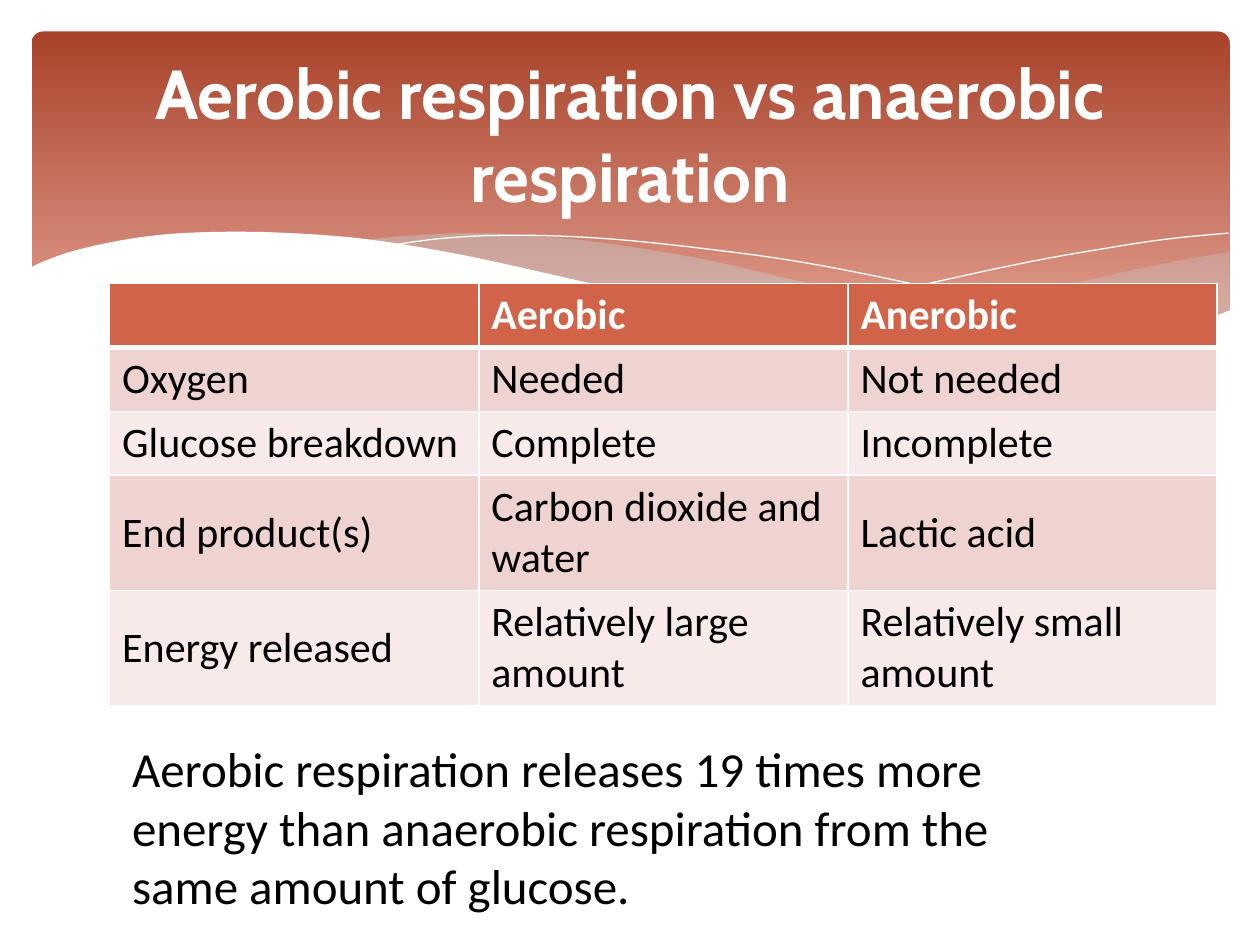
"""Build the slide comparing aerobic and anaerobic respiration."""
from dataclasses import dataclass
from typing import Optional

from lxml import etree
from pptx import Presentation
from pptx import util as u
from pptx.dml.color import RGBColor
from pptx.enum import shapes, text
from pptx.oxml.ns import qn

Point = tuple[float, float]


@dataclass(frozen=True)
class Theme:
    white: str = "FFFFFF"
    black: str = "000000"
    banner_top: str = "A9432B"
    banner_bottom: str = "E3A192"
    mist: str = "C5D1D7"
    header: str = "D16349"
    bands: tuple[str, str] = ("EED3D0", "F7EAE9")
    title_font: str = "Cabin"
    body_font: str = "Calibri"
    title_size: float = 39.6
    table_size: float = 24
    note_size: float = 28


@dataclass(frozen=True)
class Wave:
    edges: list[list[Point]]
    fill: Optional[str] = None
    opacity: int = 100


THEME = Theme()

WAVES = [
    Wave([[(9.76, 2), (9.35, 2.07), (8.91, 2.16), (8.32, 2.3), (7.79, 2.42),
           (7.29, 2.53), (6.61, 2.65)],
          [(6.61, 2.65), (7.05, 2.71), (7.45, 2.75), (7.81, 2.77), (8.14, 2.78),
           (8.54, 2.76), (8.89, 2.72), (9.21, 2.65), (9.49, 2.57), (9.76, 2.47)]],
         THEME.mist, 29),
    Wave([[(8.93, 2.73), (8.37, 2.65), (7.75, 2.54), (7.06, 2.4), (6.29, 2.22),
           (5.69, 2.08), (5.14, 1.98), (4.65, 1.91), (4.2, 1.87), (3.8, 1.85),
           (3.44, 1.86), (3.13, 1.88), (2.86, 1.91)],
          [(2.86, 1.91), (3.42, 1.99), (4.04, 2.11), (4.49, 2.22), (5.3, 2.4),
           (6.01, 2.55), (6.65, 2.66), (7.22, 2.74), (7.73, 2.77), (8.18, 2.78),
           (8.57, 2.77), (8.93, 2.73)]],
         THEME.mist, 40),
    Wave([[(3.09, 1.95), (3.28, 1.92), (3.53, 1.89), (3.87, 1.87), (4.33, 1.87),
           (4.89, 1.9), (5.56, 1.97), (6.36, 2.08), (7.27, 2.26), (8.31, 2.51),
           (9.07, 2.72)]]),
    Wave([[(6.13, 2.57), (6.53, 2.46), (7.2, 2.29), (8.06, 2.1), (8.66, 1.99),
           (9.24, 1.9), (9.75, 1.85)]]),
    Wave([[(9.77, 2.46), (9.5, 2.56), (9.1, 2.67), (8.63, 2.74), (8.09, 2.77),
           (7.44, 2.74), (6.68, 2.65), (5.79, 2.5), (5.03, 2.33), (4.47, 2.2),
           (3.65, 2.02), (2.92, 1.9), (2.3, 1.85), (1.77, 1.84), (1.32, 1.86),
           (0.95, 1.91), (0.59, 1.99), (0.36, 2.07), (0.23, 2.13)],
          [(0.23, 3.29), (9.77, 3.29)]],
         THEME.white),
]

COMPARISON = [
    ("", "Aerobic", "Anerobic"),
    ("Oxygen", "Needed", "Not needed"),
    ("Glucose breakdown", "Complete", "Incomplete"),
    ("End product(s)", "Carbon dioxide and water", "Lactic acid"),
    ("Energy released", "Relatively large amount", "Relatively small amount"),
]
ROW_HEIGHTS = (0.5, 0.5, 0.5, 0.9, 0.9)
COLUMN_WIDTH = 2.93


def rgb(colour: str) -> RGBColor:
    """Turn a hex string into a colour."""
    return RGBColor.from_string(colour)


def write(frame, words: str, *, font: str, size: float, colour: str,
          bold: bool = False, align=text.PP_ALIGN.LEFT) -> None:
    """Put one formatted paragraph in a text frame."""
    paragraph = frame.paragraphs[0]
    paragraph.alignment = align
    run = paragraph.add_run()
    run.text = words
    run.font.name = font
    run.font.size = u.Pt(size)
    run.font.bold = bold
    run.font.color.rgb = rgb(colour)


def smooth(knots: list[Point], steps: int = 5) -> list[Point]:
    """Trace a Catmull-Rom curve through the knots of one edge."""
    if len(knots) < 3:
        return knots
    padded = [knots[0], *knots, knots[-1]]
    curve = [knots[0]]
    for a, b, c, d in zip(padded, padded[1:], padded[2:], padded[3:]):
        for step in range(1, steps + 1):
            t = step / steps
            curve.append(tuple(
                (2 * q + (r - p) * t + (2 * p - 5 * q + 4 * r - s) * t ** 2
                 + (3 * q - p - 3 * r + s) * t ** 3) / 2
                for p, q, r, s in zip(a, b, c, d)))
    return curve


def draw_wave(slide, wave: Wave) -> None:
    """Draw a filled wave, or a hairline crest when it has no fill."""
    outline = [(u.Inches(x), u.Inches(y)) for edge in wave.edges for x, y in smooth(edge)]
    builder = slide.shapes.build_freeform(*outline[0])
    builder.add_line_segments(outline[1:], close=wave.fill is not None)
    shape = builder.convert_to_shape()
    shape.shadow.inherit = False
    if wave.fill is None:
        shape.fill.background()
        shape.line.color.rgb = rgb(THEME.white)
        shape.line.width = u.Pt(0)
        return
    shape.line.fill.background()
    shape.fill.solid()
    shape.fill.fore_color.rgb = rgb(wave.fill)
    if wave.opacity < 100:
        colour = shape._element.spPr.find(qn("a:solidFill")).find(qn("a:srgbClr"))
        etree.SubElement(colour, qn("a:alpha"), val=str(wave.opacity * 1000))


def draw_banner(slide) -> None:
    """Draw the gradient banner and the waves across its foot."""
    banner = slide.shapes.add_shape(
        shapes.MSO_SHAPE.ROUNDED_RECTANGLE,
        u.Inches(0.25), u.Inches(0.25), u.Inches(9.51), u.Inches(2.7))
    banner.adjustments[0] = 0.034
    banner.shadow.inherit = False
    banner.line.fill.background()
    banner.fill.gradient()
    banner.fill.gradient_angle = 270
    stops = ((0, THEME.banner_top), (0.9, THEME.banner_bottom))
    for stop, (position, colour) in zip(banner.fill.gradient_stops, stops):
        stop.position = position
        stop.color.rgb = rgb(colour)
    for wave in WAVES:
        draw_wave(slide, wave)


def style_cell(cell, fill: str, bottom: float) -> None:
    """Give a cell white borders and a solid fill."""
    properties = cell._tc.get_or_add_tcPr()
    for side, width in (("L", 1), ("R", 1), ("T", 1), ("B", bottom)):
        border = etree.SubElement(properties, qn(f"a:ln{side}"), w=str(u.Pt(width)))
        paint = etree.SubElement(border, qn("a:solidFill"))
        etree.SubElement(paint, qn("a:srgbClr"), val=THEME.white)
    cell.fill.solid()
    cell.fill.fore_color.rgb = rgb(fill)
    cell.vertical_anchor = text.MSO_ANCHOR.MIDDLE


def draw_comparison(slide) -> None:
    """Draw the comparison table."""
    columns = len(COMPARISON[0])
    table = slide.shapes.add_table(
        len(COMPARISON), columns, u.Inches(0.87), u.Inches(2.25),
        u.Inches(columns * COLUMN_WIDTH), u.Inches(sum(ROW_HEIGHTS))).table
    table.horz_banding = False
    for column in table.columns:
        column.width = u.Inches(COLUMN_WIDTH)
    for index, (entries, height) in enumerate(zip(COMPARISON, ROW_HEIGHTS)):
        table.rows[index].height = u.Inches(height)
        heading = index == 0
        fill = THEME.header if heading else THEME.bands[(index - 1) % 2]
        for cell, words in zip(table.rows[index].cells, entries):
            style_cell(cell, fill, 3 if heading else 1)
            if words:
                write(cell.text_frame, words, font=THEME.body_font, size=THEME.table_size,
                      colour=THEME.white if heading else THEME.black, bold=heading)


def add_text(slide, left: float, top: float, width: float, height: float,
             words: str, *, anchor=text.MSO_ANCHOR.TOP, **style) -> None:
    """Add a wrapped text box."""
    box = slide.shapes.add_textbox(*map(u.Inches, (left, top, width, height)))
    box.text_frame.word_wrap = True
    box.text_frame.vertical_anchor = anchor
    write(box.text_frame, words, **style)


def main() -> None:
    """Build and save the slide."""
    deck = Presentation()
    deck.slide_width, deck.slide_height = u.Inches(10), u.Inches(7.5)
    slide = deck.slides.add_slide(deck.slide_layouts[6])
    draw_banner(slide)
    draw_comparison(slide)
    add_text(slide, 0.5, 0.37, 9, 1.37, "Aerobic respiration vs anaerobic respiration",
             anchor=text.MSO_ANCHOR.MIDDLE, font=THEME.title_font, size=THEME.title_size,
             colour=THEME.white, bold=True, align=text.PP_ALIGN.CENTER)
    add_text(slide, 0.95, 5.81, 7.55, 1.51,
             "Aerobic respiration releases 19 times more energy than anaerobic "
             "respiration from the same amount of glucose.",
             font=THEME.body_font, size=THEME.note_size, colour=THEME.black)
    deck.save("out.pptx")


if __name__ == "__main__":
    main()
